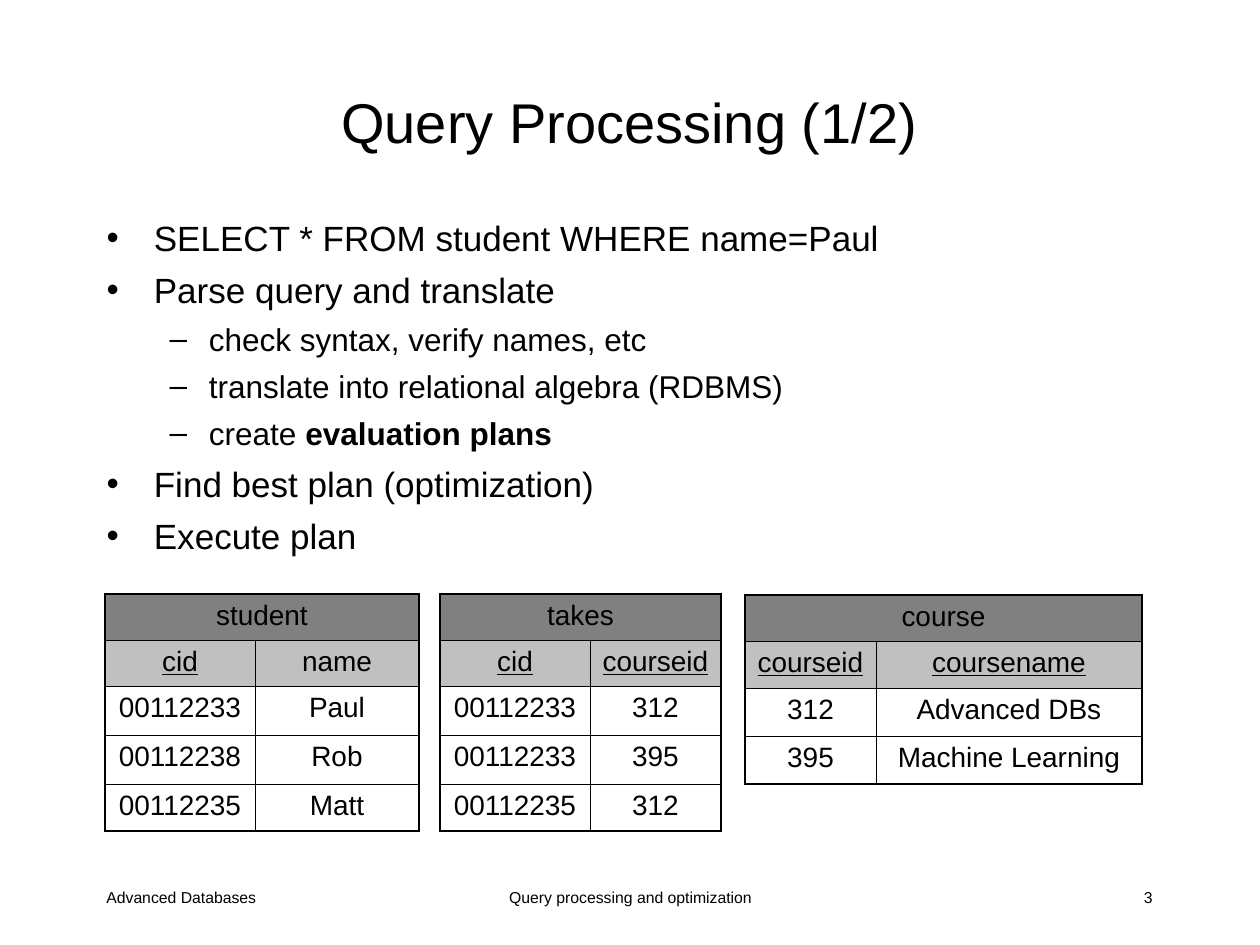
import pptx
import pptx.dml.color
import pptx.enum.text
import pptx.oxml
import pptx.oxml.ns
import pptx.util

SCALE = 914400 / 126  # EMU per px
BLACK = pptx.dml.color.RGBColor(0x00, 0x00, 0x00)
HEADER_GREY = pptx.dml.color.RGBColor(0x80, 0x80, 0x80)
COLUMN_GREY = pptx.dml.color.RGBColor(0xC0, 0xC0, 0xC0)
ALIGN = pptx.enum.text.PP_ALIGN
THIN, THICK = 0.45, 1.08

# (level, runs), each run being (text, bold)
BULLETS = [
    (0, [("SELECT * FROM student WHERE name=Paul", False)]),
    (0, [("Parse query and translate", False)]),
    (1, [("check syntax, verify names, etc", False)]),
    (1, [("translate into relational algebra (RDBMS)", False)]),
    (1, [("create ", False), ("evaluation plans", True)]),
    (0, [("Find best plan (optimization)", False)]),
    (0, [("Execute plan", False)]),
]
LEVEL_FORMATS = [{"size": 20, "before": 6}, {"size": 18, "before": 5.25}]

# Relations: name, key columns, rows, place and grid in px
RELATIONS = [
    {"name": "student", "keys": {"cid"}, "place": (105, 594),
     "widths": (150, 164), "heights": (46, 46, 49, 49, 47),
     "rows": [("cid", "name"), ("00112233", "Paul"),
              ("00112238", "Rob"), ("00112235", "Matt")]},
    {"name": "takes", "keys": {"cid", "courseid"}, "place": (440, 594),
     "widths": (150, 131), "heights": (46, 46, 49, 49, 47),
     "rows": [("cid", "courseid"), ("00112233", "312"),
              ("00112233", "395"), ("00112235", "312")]},
    {"name": "course", "keys": {"courseid", "coursename"}, "place": (745, 595),
     "widths": (131, 266), "heights": (46, 47, 48, 48),
     "rows": [("courseid", "coursename"), ("312", "Advanced DBs"),
              ("395", "Machine Learning")]},
]

FOOTERS = [
    ("Advanced Databases", (94, 882, 262, 42), ALIGN.LEFT),
    ("Query processing and optimization", (431, 882, 399, 42), ALIGN.CENTER),
    ("3", (903, 882, 262, 42), ALIGN.RIGHT),
]


def px(length):
    return pptx.util.Emu(round(length * SCALE))


def place(shape, box):
    for name, length in zip(("left", "top", "width", "height"), box):
        setattr(shape, name, px(length))


def add_run(paragraph, text, size, **extra):
    run = paragraph.add_run()
    run.text = text
    values = {"name": "Arial", "size": pptx.util.Pt(size), **extra}
    for name, value in values.items():
        setattr(run.font, name, value)
    run.font.color.rgb = BLACK


def add_title(slide, box):
    title = slide.shapes.title
    place(title, box)
    frame = title.text_frame
    frame.auto_size = pptx.enum.text.MSO_AUTO_SIZE.NONE
    frame.vertical_anchor = pptx.enum.text.MSO_ANCHOR.MIDDLE
    paragraph = frame.paragraphs[0]
    paragraph.alignment = ALIGN.CENTER
    add_run(paragraph, "Query Processing (1/2)", 32)


def add_bullets(slide, box):
    body = slide.placeholders[1]
    place(body, box)
    frame = body.text_frame
    frame.auto_size = pptx.enum.text.MSO_AUTO_SIZE.NONE
    for index, (level, runs) in enumerate(BULLETS):
        paragraph = frame.add_paragraph() if index else frame.paragraphs[0]
        values = LEVEL_FORMATS[level]
        paragraph.level = level
        paragraph.space_before = pptx.util.Pt(values["before"] if index else 0)
        for text, bold in runs:
            add_run(paragraph, text, values["size"], bold=bold)


def set_borders(cell, widths):
    properties = cell._tc.get_or_add_tcPr()
    for side, width in widths.items():
        properties.append(pptx.oxml.parse_xml(
            f'<a:ln{side} {pptx.oxml.ns.nsdecls("a")} w="{pptx.util.Pt(width)}">'
            f'<a:solidFill><a:srgbClr val="{BLACK}"/></a:solidFill></a:ln{side}>'))


def add_relation(slide, relation):
    widths, heights = relation["widths"], relation["heights"]
    box = (*relation["place"], sum(widths), sum(heights))
    rows = [(relation["name"], "")] + relation["rows"]
    table = slide.shapes.add_table(len(rows), 2, *map(px, box)).table
    table.first_row = table.horz_banding = False
    for column, width in zip(table.columns, widths):
        column.width = px(width)
    for row, height in zip(table.rows, heights):
        row.height = px(height)
    table.cell(0, 0).merge(table.cell(0, 1))

    last = len(rows) - 1
    for row_index, row in enumerate(rows):
        for column_index, text in enumerate(row):
            cell = table.cell(row_index, column_index)
            spans = row_index == 0
            set_borders(cell, {
                "L": THIN if column_index else THICK,
                "R": THICK if column_index or spans else THIN,
                "T": THICK if row_index == 0 else THIN,
                "B": THICK if row_index == last else THIN,
            })
            if row_index < 2:
                cell.fill.solid()
                cell.fill.fore_color.rgb = (HEADER_GREY, COLUMN_GREY)[row_index]
            else:
                cell.fill.background()
            if text:
                paragraph = cell.text_frame.paragraphs[0]
                paragraph.alignment = ALIGN.CENTER
                is_key = row_index == 1 and text in relation["keys"]
                add_run(paragraph, text, 16, underline=is_key)


def add_footer(slide, text, box, alignment):
    frame = slide.shapes.add_textbox(*map(px, box)).text_frame
    frame.word_wrap = True
    paragraph = frame.paragraphs[0]
    paragraph.alignment = alignment
    add_run(paragraph, text, 9)


def main():
    presentation = pptx.Presentation()
    presentation.slide_width = px(1260)
    presentation.slide_height = px(945)
    slide = presentation.slides.add_slide(presentation.slide_layouts[1])

    # Title and list
    add_title(slide, (94, 42, 1071, 158))
    add_bullets(slide, (94, 210, 1071, 651))

    # Example relations
    for relation in RELATIONS:
        add_relation(slide, relation)

    # Footer line
    for text, box, alignment in FOOTERS:
        add_footer(slide, text, box, alignment)

    presentation.save("out.pptx")


if __name__ == "__main__":
    main()
